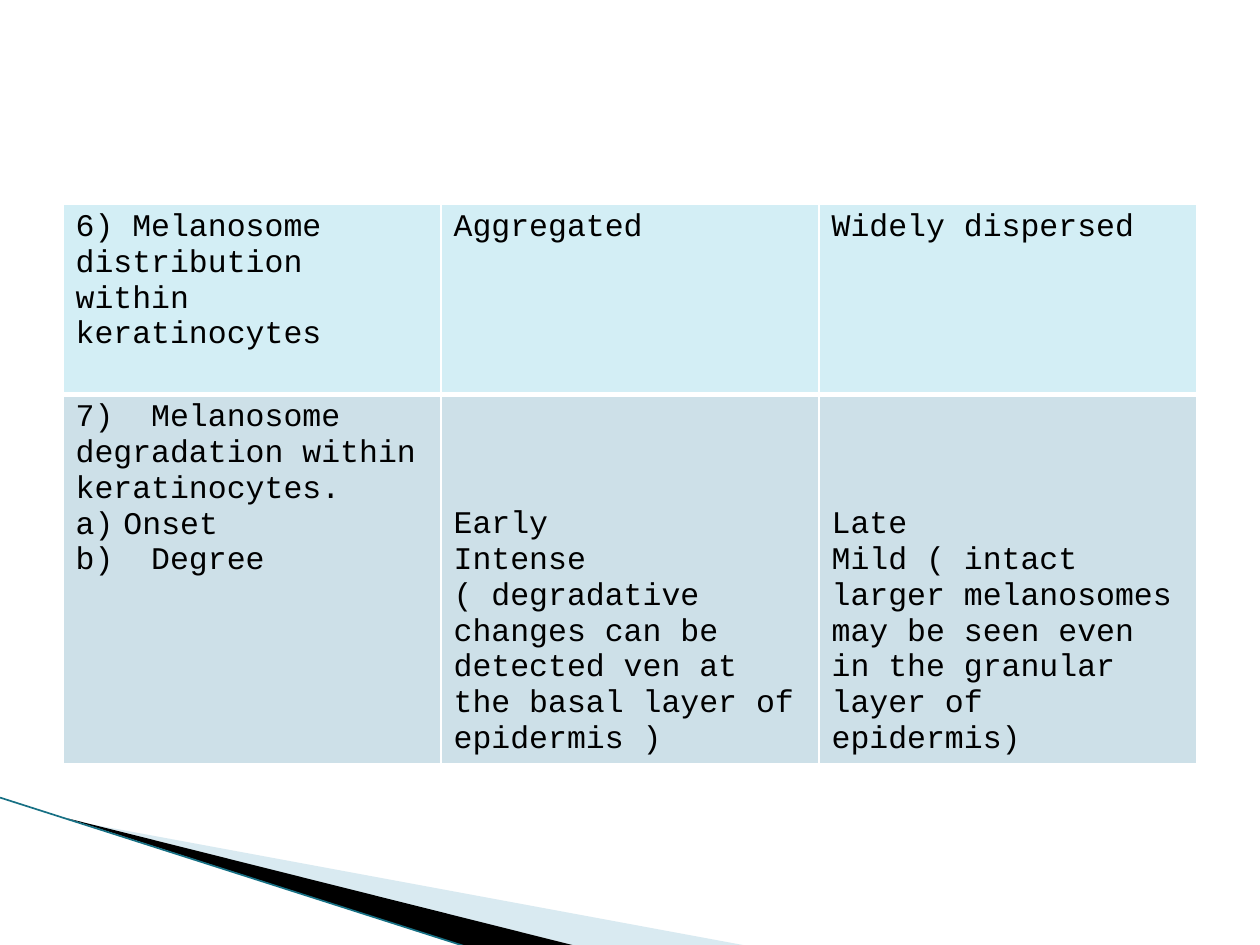
from lxml import etree
from pptx import Presentation
from pptx.dml.color import RGBColor
from pptx.enum.shapes import MSO_CONNECTOR
from pptx.oxml.ns import qn
from pptx.util import Emu, Inches, Pt

STRAIGHT = MSO_CONNECTOR.STRAIGHT
BLACK = RGBColor(0x00, 0x00, 0x00)
WHITE = RGBColor(0xFF, 0xFF, 0xFF)
PALE_BLUE = RGBColor(0xA0, 0xCB, 0xDC)
TEAL = RGBColor(0x17, 0x70, 0x84)
ROW_FILLS = [RGBColor(0xD3, 0xEE, 0xF5), RGBColor(0xCD, 0xE0, 0xE8)]

FONT = "Courier New"
TEXT_SIZE = Pt(18)
LINE_HEIGHT = 0.283  # inches, one line of table text
ROW_HEIGHTS = [1.51, 2.93]
HEADING_LINES = 3  # lines taken by the heading of row 7

COMPARISON = [
    [["6) Melanosome distribution within keratinocytes"],
     ["Aggregated"],
     ["Widely dispersed"]],
    [["7)  Melanosome degradation within keratinocytes.", "Onset", "b)  Degree"],
     ["Early", "Intense ( degradative changes can be detected ven at the basal "
               "layer of epidermis )"],
     ["Late", "Mild ( intact larger melanosomes may be seen even in the granular "
              "layer of  epidermis)"]],
]


def add_wedge(slide, box, points, color, opacity=100):
    """Draw a filled outline whose points are shares of the box."""
    left, top, width, height = box
    corners = [(Inches(left + x * width), Inches(top + y * height)) for x, y in points]
    builder = slide.shapes.build_freeform(*corners[0], scale=1.0)
    builder.add_line_segments(corners[1:], close=True)
    wedge = builder.convert_to_shape()
    wedge.shadow.inherit = False
    wedge.line.fill.background()
    wedge.fill.solid()
    wedge.fill.fore_color.rgb = color
    if opacity < 100:
        solid_color = wedge.fill._xPr.find(qn("a:solidFill"))[0]
        etree.SubElement(solid_color, qn("a:alpha"), val=str(opacity * 1000))


def add_corner_sweep(slide, box):
    """Fan of two wedges and an edge line in the lower left corner."""
    left, top, width, height = box
    add_wedge(slide, box, [(0.09, 0.15), (1, 1), (0.77, 1)], PALE_BLUE, 40)
    add_wedge(slide, box, [(0.09, 0.14), (0.77, 1), (0.62, 1)], BLACK)
    edge = slide.shapes.add_connector(
        STRAIGHT, Inches(left), Inches(top),
        Inches(left + 0.62 * width), Inches(top + height))
    edge.line.color.rgb = TEAL
    edge.line.width = Pt(0.95)
    etree.SubElement(edge._element.spPr, qn("a:effectLst"))


def set_borders(cell, widths):
    """Give a cell white borders; widths are points for left, right, top, bottom."""
    properties = cell._tc.get_or_add_tcPr()
    for position, (side, width) in enumerate(zip("LRTB", widths)):
        border = etree.Element(qn(f"a:ln{side}"), w=str(Pt(width)))
        fill = etree.SubElement(border, qn("a:solidFill"))
        etree.SubElement(fill, qn("a:srgbClr"), val=str(WHITE))
        properties.insert(position, border)


def add_letter_bullet(paragraph):
    """Number a paragraph a) with a hanging indent."""
    properties = paragraph._p.get_or_add_pPr()
    properties.set("marL", str(Inches(0.38)))
    properties.set("indent", str(-Inches(0.38)))
    etree.SubElement(properties, qn("a:buFont"), typeface=FONT)
    etree.SubElement(properties, qn("a:buAutoNum"), type="alphaLcParenR")


def fill_cell(cell, lines, color):
    cell.fill.solid()
    cell.fill.fore_color.rgb = color
    cell.text_frame.text = "\n".join(lines)
    for paragraph in cell.text_frame.paragraphs:
        for run in paragraph.runs:
            run.font.name = FONT
            run.font.size = TEXT_SIZE
            run.font.color.rgb = BLACK


def add_comparison_table(slide, box):
    frame = slide.shapes.add_table(
        len(COMPARISON), len(COMPARISON[0]), *(Inches(length) for length in box))
    table = frame.table
    table.first_row = False
    table.horz_banding = False
    for column in table.columns:
        column.width = Emu(Inches(box[2]) // len(table.columns))
    for r, (entries, height) in enumerate(zip(COMPARISON, ROW_HEIGHTS)):
        table.rows[r].height = Inches(height)
        for c, lines in enumerate(entries):
            cell = table.cell(r, c)
            fill_cell(cell, lines, ROW_FILLS[r])
            set_borders(cell, (1, 1, 1, 3) if r == 0 else (1, 1, 3, 1))

    # Findings of row 7 start level with the entries below its heading
    for c in (1, 2):
        table.cell(1, c).margin_top = Inches(0.05 + HEADING_LINES * LINE_HEIGHT)
    add_letter_bullet(table.cell(1, 0).text_frame.paragraphs[1])


def main():
    presentation = Presentation()
    presentation.slide_width = Inches(10)
    presentation.slide_height = Inches(7.5)
    slide = presentation.slides.add_slide(presentation.slide_layouts[6])
    slide.background.fill.solid()
    slide.background.fill.fore_color.rgb = WHITE
    add_corner_sweep(slide, (0, 6.33, 5.95, 1.18))
    add_comparison_table(slide, (0.5, 1.62, 9, sum(ROW_HEIGHTS)))
    presentation.save("out.pptx")


if __name__ == "__main__":
    main()
